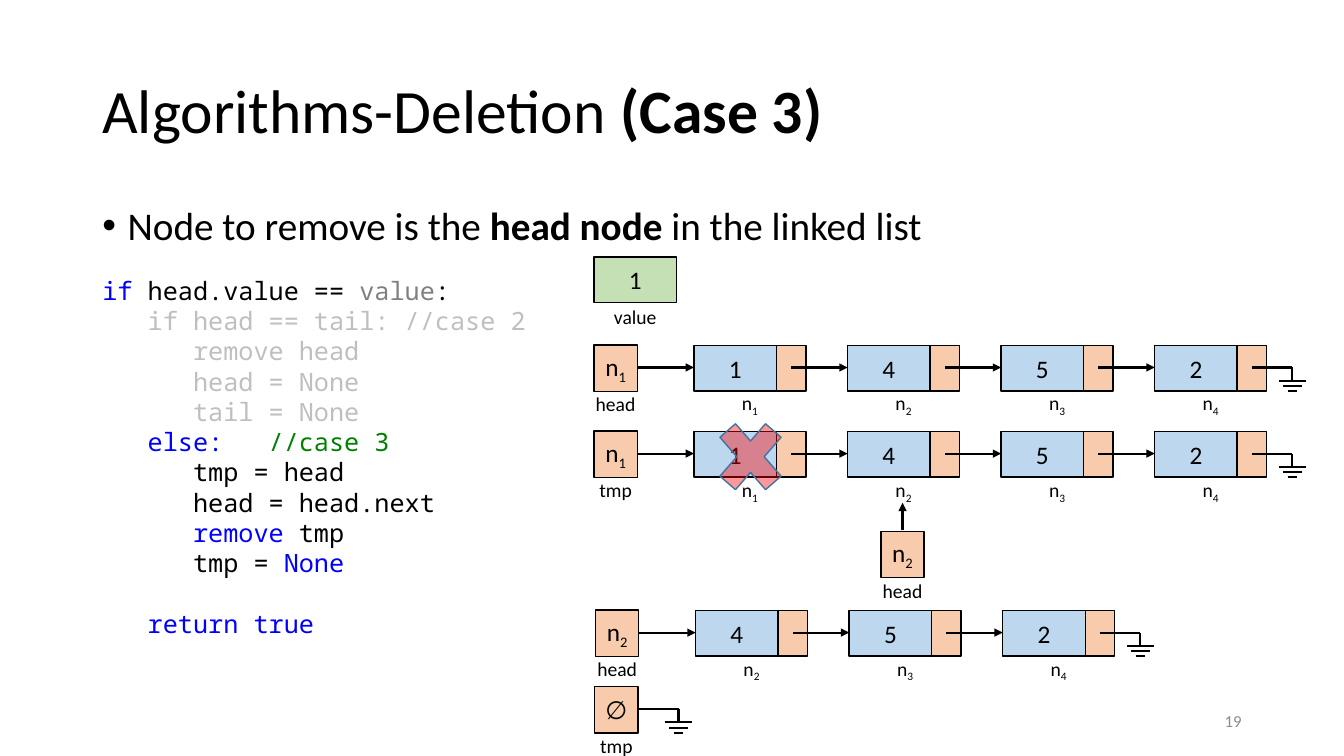
from lxml.etree import SubElement
from pptx import Presentation
from pptx.dml.color import RGBColor
from pptx.enum.shapes import MSO_CONNECTOR as Link, MSO_SHAPE as Shape
from pptx.enum.text import MSO_ANCHOR as Anchor, PP_ALIGN as Align
from pptx.oxml.ns import qn
from pptx.util import Cm, Pt

COLORS = {
    "black": "000000", "blue": "0000FF", "gray": "808080", "faded": "BFBFBF",
    "comment": "008000", "number": "8C8C8C", "value": "BDD7EE",
    "pointer": "F8CBAD", "wanted": "C5E0B4", "cross": "FF0000", "edge": "43739E",
}
VALUE_W, POINTER_W, NODE_H = 2.08, 0.74, 1.14
NODE_W = VALUE_W + POINTER_W
PITCH = 3.87  # from one node to the next
FIRST_NODE = 2.52  # from the tag to the first node
TAG_W, TAG_H = 1.09, 1.17
LABEL_H = 0.64
WIRE_Y = 0.57  # wire height below the top of a row
WIRE_X = VALUE_W + POINTER_W / 2

CODE = [
    [("if ", "blue"), ("head.value == ", "black"), ("value", "gray"), (":", "black")],
    [("   if head == tail: //case 2", "faded")],
    [("      remove head", "faded")],
    [("      head = None", "faded")],
    [("      tail = None", "faded")],
    [("   else:   ", "blue"), ("//case 3", "comment")],
    [("      tmp = head", "black")],
    [("      head = head.next", "black")],
    [("      remove ", "blue"), ("tmp", "black")],
    [("      tmp = ", "black"), ("None", "blue")],
    [("   return true", "blue")],
]


def rgb(name):
    return RGBColor.from_string(COLORS[name])


def write(para, text, size=18, font="Calibri", color="black", bold=False, sub=False):
    span = para.add_run()
    span.text = text
    span.font.size = Pt(size)
    span.font.name = font
    span.font.bold = bold
    span.font.color.rgb = rgb(color)
    if sub:
        span.font._element.set("baseline", "-25000")


def write_name(para, name, size):
    """Write a name; what follows an underscore is a subscript."""
    base, _, index = name.partition("_")
    para.alignment = Align.CENTER
    write(para, base, size=size)
    if index:
        write(para, index, size=size, sub=True)


def add_text(page, left, top, width, height, anchor=Anchor.MIDDLE):
    box = page.shapes.add_textbox(Cm(left), Cm(top), Cm(width), Cm(height))
    box.text_frame.word_wrap = True
    box.text_frame.vertical_anchor = anchor
    return box.text_frame


def add_label(page, name, left, top, width):
    frame = add_text(page, left, top, width, LABEL_H)
    frame.margin_top = frame.margin_bottom = 0
    write_name(frame.paragraphs[0], name, 14)


def add_cell(page, left, top, width, height, fill, name="", kind=Shape.RECTANGLE, line="black"):
    cell = page.shapes.add_shape(kind, Cm(left), Cm(top), Cm(width), Cm(height))
    cell.shadow.inherit = False
    cell.fill.solid()
    cell.fill.fore_color.rgb = rgb(fill)
    cell.line.color.rgb = rgb(line)
    cell.line.width = Pt(1)
    if name:
        frame = cell.text_frame
        frame.margin_left = frame.margin_right = 0
        frame.vertical_anchor = Anchor.MIDDLE
        write_name(frame.paragraphs[0], name, 18)
    return cell


def add_line(page, x1, y1, x2, y2, arrow=False):
    line = page.shapes.add_connector(Link.STRAIGHT, Cm(x1), Cm(y1), Cm(x2), Cm(y2))
    line.line.color.rgb = rgb("black")
    line.line.width = Pt(1.5)
    if arrow:
        SubElement(line.line._get_or_add_ln(), qn("a:tailEnd"), type="triangle")
    SubElement(line._element.spPr, qn("a:effectLst"))


def add_ground(page, left, top):
    """Wire that ends in the null symbol."""
    center = left + 1.02
    add_line(page, left, top, center, top)
    add_line(page, center, top, center, top + 0.33)
    for drop, half in ((0.33, 0.35), (0.47, 0.24), (0.6, 0.12)):
        add_line(page, center - half, top + drop, center + half, top + drop)


def add_tag(page, name, label, left, top):
    """Variable cell with its label below."""
    add_cell(page, left, top, TAG_W, TAG_H, "pointer", name)
    add_label(page, label, left + TAG_W / 2 - 0.95, top + TAG_H, 1.9)


def add_node(page, value, name, left, top):
    add_cell(page, left, top, VALUE_W, NODE_H, "value", value)
    add_cell(page, left + VALUE_W, top, POINTER_W, NODE_H, "pointer")
    add_label(page, name, left, top + 1.17, NODE_W)


def add_list(page, tag, label, nodes, left, top):
    """Linked list in one row, led by a variable."""
    add_tag(page, tag, label, left, top)
    wire_start, wire_y = left + TAG_W, top + WIRE_Y
    for place, (value, name) in enumerate(nodes):
        node_left = left + FIRST_NODE + place * PITCH
        add_node(page, value, name, node_left, top + 0.02)
        add_line(page, wire_start, wire_y, node_left, wire_y, arrow=True)
        wire_start = node_left + WIRE_X
    add_ground(page, wire_start, wire_y)


def add_heading(page, left, top, width):
    # Title
    para = add_text(page, left, top, width, 3.68).paragraphs[0]
    para.line_spacing = 0.9
    write(para, "Algorithms-Deletion ", size=44)
    write(para, "(Case 3)", size=44, bold=True)

    # Bullet
    para = add_text(page, left, top + 4.06, width, 1.4, Anchor.TOP).paragraphs[0]
    para.line_spacing = 0.9
    props = para._p.get_or_add_pPr()
    props.set("marL", str(Cm(0.64)))
    props.set("indent", str(Cm(-0.64)))
    SubElement(props, qn("a:buFont"), typeface="Arial")
    SubElement(props, qn("a:buChar"), char="•")
    write(para, "Node to remove is the ", size=28)
    write(para, "head node ", size=28, bold=True)
    write(para, "in the linked list", size=28)


def add_code(page, left, top, width, height):
    frame = add_text(page, left, top, width, height, Anchor.TOP)
    for row, spans in enumerate(CODE):
        para = frame.add_paragraph() if row else frame.paragraphs[0]
        for text, color in spans:
            write(para, text, font="Noto Sans Mono", color=color)
    frame.paragraphs[-1].space_before = Pt(21.6)


def add_diagram(page, left, top):
    nodes = [("1", "n_1"), ("4", "n_2"), ("5", "n_3"), ("2", "n_4")]

    # Value to delete
    add_cell(page, left, top, VALUE_W, NODE_H, "wanted", "1")
    add_label(page, "value", left, top + 1.17, VALUE_W)

    # List before and during the deletion
    add_list(page, "n_1", "head", nodes, left, top + 2.21)
    add_list(page, "n_1", "tmp", nodes, left, top + 4.38)

    # Head moves to the second node
    add_tag(page, "n_2", "head", left + 7.23, top + 6.91)
    arrow_x = left + 7.23 + TAG_W / 2
    add_line(page, arrow_x, top + 6.88, arrow_x, top + 6.19, arrow=True)

    # Cross over the removed node
    cross = add_cell(page, left + 2.84, top + 3.76, 2.21, 2.54, "cross",
                     kind=Shape.MATH_MULTIPLY, line="edge")
    SubElement(cross._element.spPr.find(".//" + qn("a:srgbClr")), qn("a:alpha"), val="40000")

    # List after the deletion
    add_list(page, "n_2", "head", nodes[1:], left + 0.04, top + 8.89)
    add_tag(page, "∅", "tmp", left + 0.02, top + 10.82)
    add_ground(page, left + 0.02 + TAG_W, top + 10.82 + WIRE_Y)


def add_page_number(page, left, top, width, height):
    para = add_text(page, left, top, width, height).paragraphs[0]
    para.alignment = Align.RIGHT
    write(para, "19", size=12, color="number")


def main():
    deck = Presentation()
    deck.slide_width, deck.slide_height = Cm(33.87), Cm(19.05)
    page = deck.slides.add_slide(deck.slide_layouts[6])
    add_heading(page, 2.33, 1.01, 29.21)
    add_code(page, 2.33, 6.81, 12.4, 10.26)
    add_page_number(page, 23.92, 17.66, 7.62, 1.01)
    add_diagram(page, 14.97, 6.48)
    deck.save("out.pptx")


if __name__ == "__main__":
    main()
